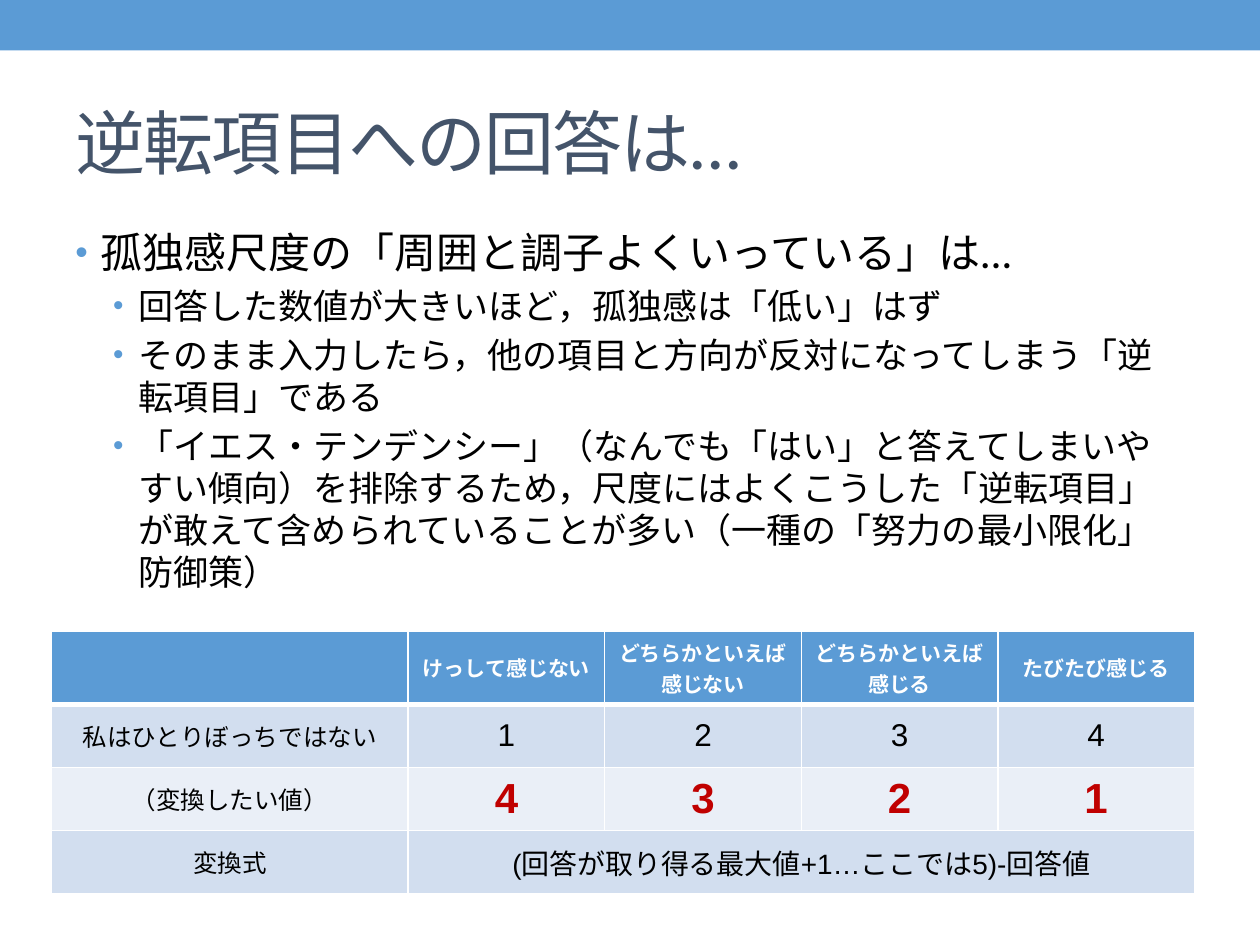
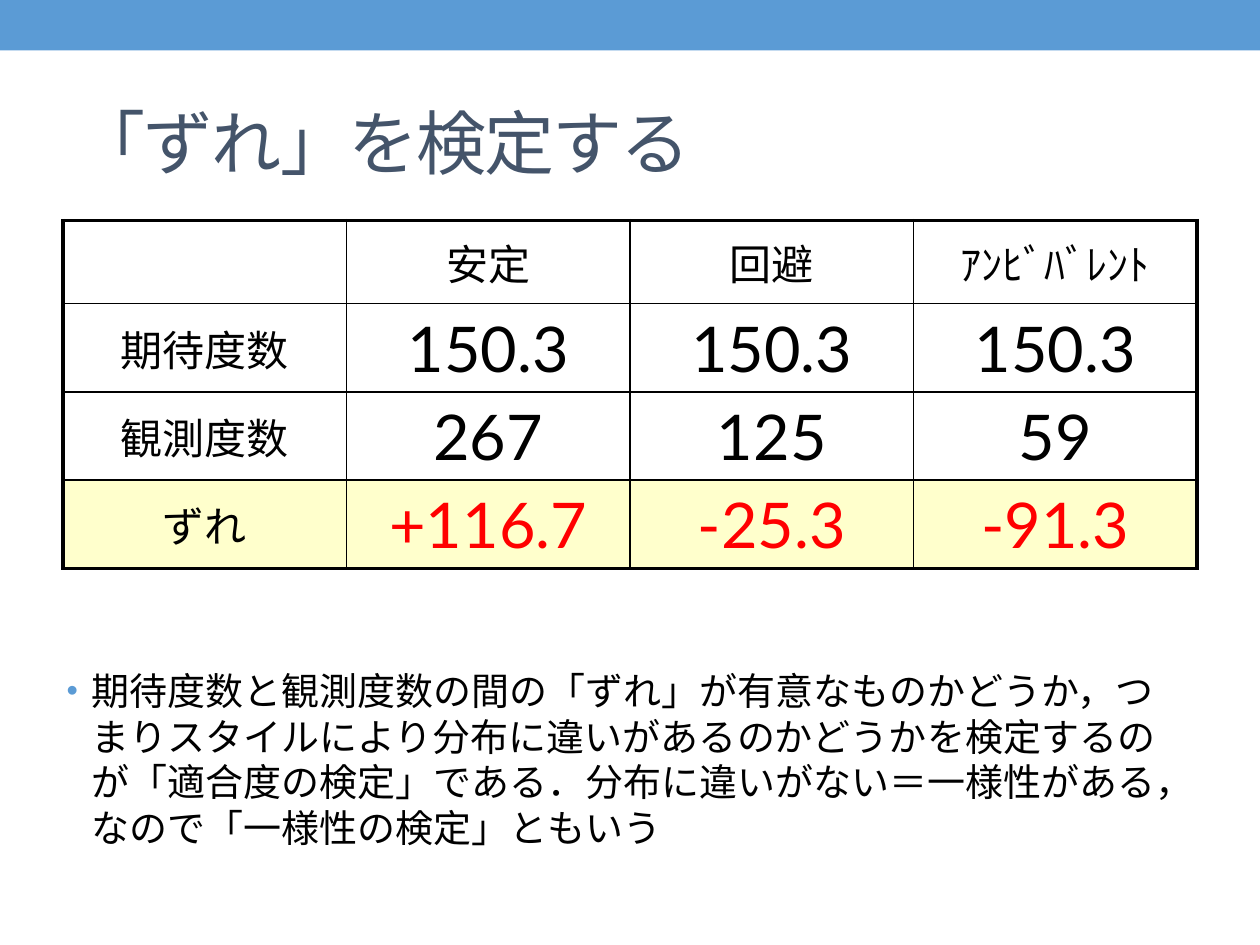
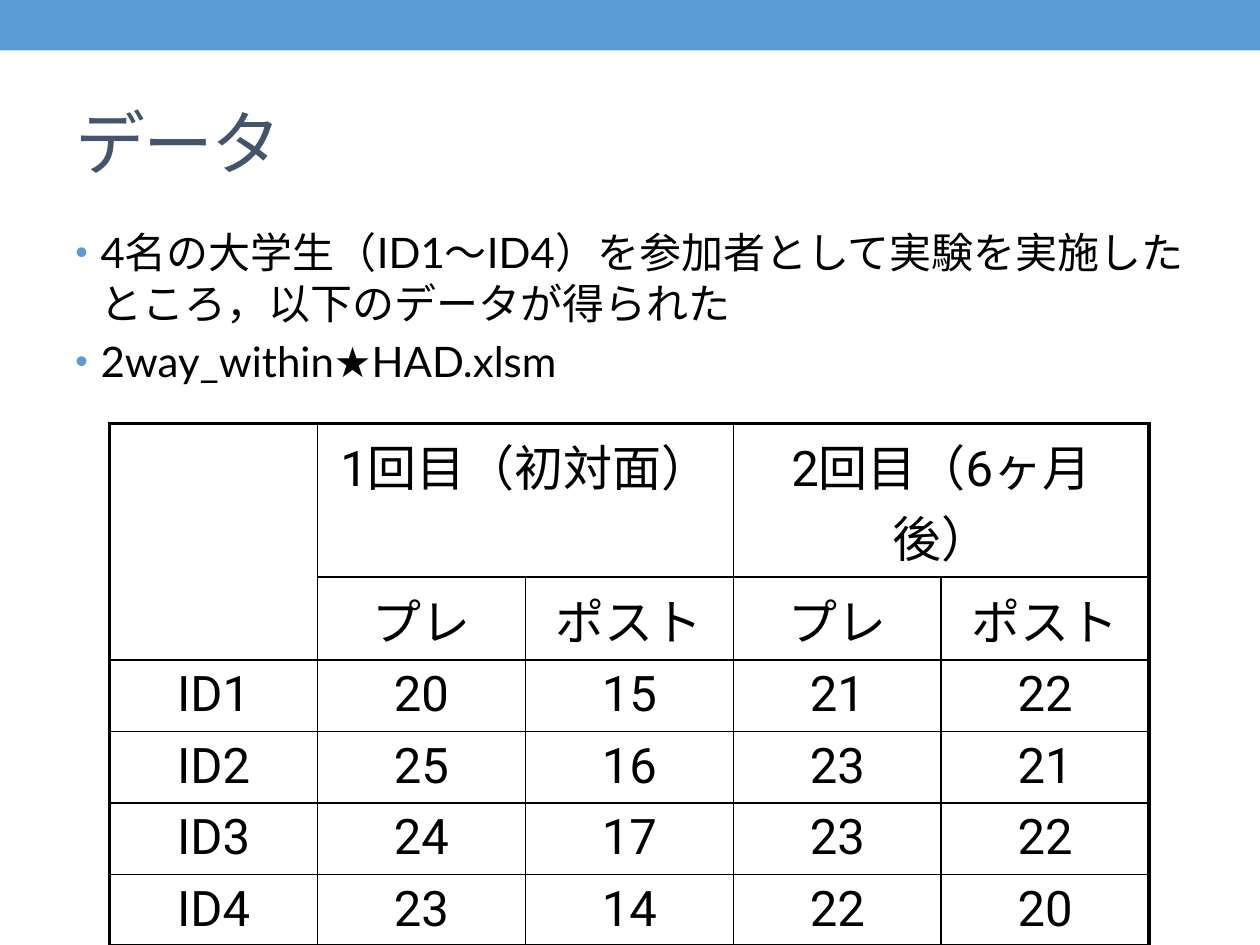
from lxml.etree import SubElement
from pptx import Presentation
from pptx.dml.color import RGBColor
from pptx.enum.shapes import MSO_SHAPE
from pptx.enum.text import MSO_ANCHOR, MSO_AUTO_SIZE, PP_ALIGN
from pptx.oxml import parse_xml
from pptx.oxml.ns import nsdecls, qn
from pptx.util import Inches, Pt

COLORS = {
    "band": "5B9BD5",
    "title": "44546A",
    "text": "000000",
    "white": "FFFFFF",
    "row_dark": "D2DEEF",
    "row_light": "EAEFF7",
    "converted": "C00000",
    "gap": "FF0000",
    "gap_row": "FFFFCC",
}
BODY_AREA = (0.5, 1.75, 9, 5.33)
BULLET_INDENTS = (0.2, 0.5)


def rgb(name):
    return RGBColor.from_string(COLORS[name])


def write(frame, text, font="Lato", size=24, color="text", bold=False,
          align=PP_ALIGN.LEFT, spacing=None, east_asian=None):
    for number, line in enumerate(text.split("\n")):
        paragraph = frame.add_paragraph() if number else frame.paragraphs[0]
        paragraph.alignment = align
        run = paragraph.add_run()
        run.text = line
        run.font.name = font
        run.font.size = Pt(size)
        run.font.bold = bold
        run.font.color.rgb = rgb(color)
        properties = run.font._element
        if east_asian:
            SubElement(properties, qn("a:ea"), typeface=east_asian)
        if spacing is not None:
            properties.set("spc", str(spacing * 100))


def add_bullet(paragraph, level):
    properties = paragraph._p.get_or_add_pPr()
    properties.set("marL", str(Inches(BULLET_INDENTS[level])))
    properties.set("indent", str(Inches(-0.2)))
    if level:
        properties.set("lvl", str(level))
    color = SubElement(properties, qn("a:buClr"))
    SubElement(color, qn("a:srgbClr"), val=COLORS["band"])
    SubElement(properties, qn("a:buSzPct"), val="85000")
    SubElement(properties, qn("a:buFont"), typeface="Arial")
    SubElement(properties, qn("a:buChar"), char="•")


def add_titled_slide(deck, heading):
    slide = deck.slides.add_slide(deck.slide_layouts[5])
    band = slide.shapes.add_shape(MSO_SHAPE.RECTANGLE, 0, 0, deck.slide_width, Inches(0.4))
    band.shadow.inherit = False
    band.fill.solid()
    band.fill.fore_color.rgb = rgb("band")
    band.line.fill.background()
    title = slide.shapes.title
    title.left, title.top, title.width, title.height = map(Inches, (0.5, 0.58, 9, 1.08))
    title.text_frame.auto_size = MSO_AUTO_SIZE.NONE
    title.text_frame.vertical_anchor = MSO_ANCHOR.MIDDLE
    write(title.text_frame, heading, size=40, color="title", spacing=-1, east_asian="Lato")
    return slide


def add_points(slide, points, area=BODY_AREA):
    frame = slide.shapes.add_textbox(*map(Inches, area)).text_frame
    frame.word_wrap = True
    write(frame, "\n".join(text for text, _, _ in points), east_asian="Lato")
    for number, (paragraph, (_, level, size)) in enumerate(zip(frame.paragraphs, points)):
        add_bullet(paragraph, level)
        paragraph.runs[0].font.size = Pt(size)
        if number:
            paragraph.space_before = Pt(size * 0.2)


def set_borders(cell, color, widths):
    properties = cell._tc.get_or_add_tcPr()
    for position, (side, width) in enumerate(zip("LRTB", widths)):
        properties.insert(position, parse_xml(
            f'<a:ln{side} w="{Pt(width)}" {nsdecls("a")}><a:solidFill>'
            f'<a:srgbClr val="{COLORS[color]}"/></a:solidFill></a:ln{side}>'))


def add_grid(slide, rows, left, top, widths, heights, row_styles, border="text",
             outer=2.25, header_rule=1, merges=(), anchor=MSO_ANCHOR.MIDDLE):
    last_row, last_column = len(rows), len(widths)
    table = slide.shapes.add_table(last_row, last_column, Inches(left), Inches(top),
                                   Inches(sum(widths)), Inches(sum(heights))).table
    for column, width in zip(table.columns, widths):
        column.width = Inches(width)
    for row, height in zip(table.rows, heights):
        row.height = Inches(height)
    for first, last in merges:
        table.cell(*first).merge(table.cell(*last))
    for r, (texts, (label_style, value_style, fill)) in enumerate(zip(rows, row_styles)):
        for c, text in enumerate(texts):
            cell = table.cell(r, c)
            cell.vertical_anchor = anchor
            if fill:
                cell.fill.solid()
                cell.fill.fore_color.rgb = rgb(fill)
            else:
                cell.fill.background()
            right, bottom = c + cell.span_width, r + cell.span_height
            set_borders(cell, border, (
                outer if c == 0 else 1,
                outer if right == last_column else 1,
                outer if r == 0 else header_rule if r == 1 else 1,
                outer if bottom == last_row else header_rule if r == 0 else 1))
            if text:
                style = value_style if c else label_style
                write(cell.text_frame, text, align=PP_ALIGN.CENTER, **style)


def add_reversed_items(deck):
    slide = add_titled_slide(deck, "逆転項目への回答は…")
    add_points(slide, [
        ("孤独感尺度の「周囲と調子よくいっている」は…", 0, 24),
        ("回答した数値が大きいほど，孤独感は「低い」はず", 1, 20),
        ("そのまま入力したら，他の項目と方向が反対になってしまう「逆転項目」である", 1, 20),
        ("「イエス・テンデンシー」（なんでも「はい」と答えてしまいやすい傾向）を排除するため，"
         "尺度にはよくこうした「逆転項目」が敢えて含められていることが多い"
         "（一種の「努力の最小限化」防御策）", 1, 20),
    ])
    header = dict(font="Arial", size=12, color="white", bold=True)
    label = dict(font="Arial", size=14)
    answer = dict(font="Arial", size=18)
    converted = dict(font="Arial", size=24, color="converted", bold=True)
    formula = dict(font="Arial", size=16)
    add_grid(
        slide,
        [["", "けっして感じない", "どちらかといえば\n感じない", "どちらかといえば\n感じる", "たびたび感じる"],
         ["私はひとりぼっちではない", "1", "2", "3", "4"],
         ["（変換したい値）", "4", "3", "2", "1"],
         ["変換式", "(回答が取り得る最大値+1…ここでは5)-回答値", "", "", ""]],
        0.41, 5.01, [2.83] + [1.56] * 4, [0.58] + [0.5] * 3,
        [(header, header, "band"), (label, answer, "row_dark"),
         (label, converted, "row_light"), (label, formula, "row_dark")],
        border="white", outer=1, header_rule=3, merges=[((3, 1), (3, 4))])


def add_deviation_test(deck):
    slide = add_titled_slide(deck, "「ずれ」を検定する")
    label = dict(size=24)
    count = dict(size=36)
    gap = dict(size=36, color="gap")
    add_grid(
        slide,
        [["", "安定", "回避", "ｱﾝﾋﾞﾊﾞﾚﾝﾄ"],
         ["期待度数", "150.3", "150.3", "150.3"],
         ["観測度数", "267", "125", "59"],
         ["ずれ", "+116.7", "-25.3", "-91.3"]],
        0.5, 1.75, [2.25] * 4, [0.66] + [0.7] * 3,
        [(label, label, None), (label, count, None), (label, count, None),
         (label, gap, "gap_row")])
    add_points(slide, [
        ("期待度数と観測度数の間の「ずれ」が有意なものかどうか，つまりスタイルにより分布に"
         "違いがあるのかどうかを検定するのが「適合度の検定」である．分布に違いがない＝"
         "一様性がある，なので「一様性の検定」ともいう", 0, 21.7),
    ], area=(0.43, 5.25, 9.07, 1.65))


def add_experiment_data(deck):
    slide = add_titled_slide(deck, "データ")
    add_points(slide, [
        ("4名の大学生（ID1～ID4）を参加者として実験を実施したところ，以下のデータが得られた", 0, 24),
        ("2way_within★HAD.xlsm", 0, 24),
    ])
    score = dict(font="Roboto", size=28)
    add_grid(
        slide,
        [["", "1回目（初対面）", "", "2回目（6ヶ月後）", ""],
         ["", "プレ", "ポスト", "プレ", "ポスト"],
         ["ID1", "20", "15", "21", "22"],
         ["ID2", "25", "16", "23", "21"],
         ["ID3", "24", "17", "23", "22"],
         ["ID4", "23", "14", "22", "20"]],
        0.87, 3.36, [1.65] * 5, [1.22, 0.66] + [0.55] * 4,
        [(score, score, None)] * 6, anchor=MSO_ANCHOR.TOP,
        merges=[((0, 0), (1, 0)), ((0, 1), (0, 2)), ((0, 3), (0, 4))])


def main():
    deck = Presentation()
    deck.slide_width, deck.slide_height = Inches(10), Inches(7.5)
    add_reversed_items(deck)
    add_deviation_test(deck)
    add_experiment_data(deck)
    deck.save("out.pptx")


if __name__ == "__main__":
    main()
